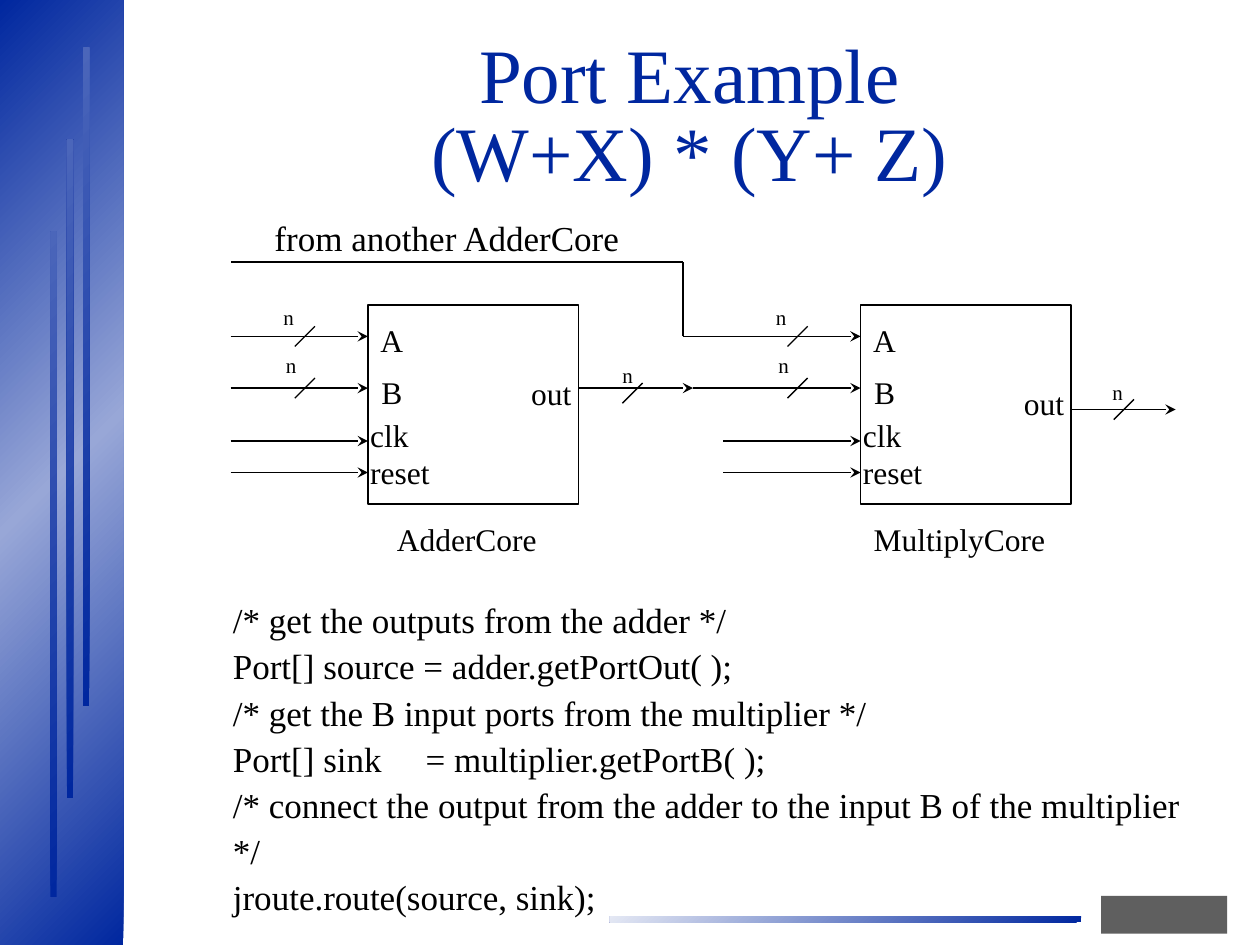
import copy
from itertools import pairwise

from lxml import etree
from pptx import Presentation
from pptx.dml.color import RGBColor
from pptx.enum import shapes, text
from pptx.oxml.ns import qn
from pptx.util import Inches, Pt

BLUE, BLACK, GREY = "00279F", "000000", "5F5F5F"
LEFT, CENTER = text.PP_ALIGN.LEFT, text.PP_ALIGN.CENTER
LINE_H = 0.4


def rgb(hex_color):
    return RGBColor.from_string(hex_color)


def add_rect(s, x, y, w, h):
    sp = s.shapes.add_shape(shapes.MSO_SHAPE.RECTANGLE,
                            Inches(x), Inches(y), Inches(w), Inches(h))
    sp.shadow.inherit = False
    sp.line.fill.background()
    return sp


def add_gradient(s, x, y, w, h, colors):
    """Rectangle with evenly spaced gradient stops, starting at its lower right."""
    sp = add_rect(s, x, y, w, h)
    sp.fill.gradient()
    sp.fill.gradient_angle = 135
    stops = sp._element.spPr.find(".//" + qn("a:gsLst"))
    while len(stops) < len(colors):
        stops.append(copy.deepcopy(stops[-1]))
    for i, (stop, color) in enumerate(zip(sp.fill.gradient_stops, colors)):
        stop.position = i / (len(colors) - 1)
        stop.color.rgb = rgb(color)


def add_text(s, x, y, w, h, lines, size=18, align=CENTER, wrap=False,
             color=BLACK, spacing=1.0):
    tf = s.shapes.add_textbox(Inches(x), Inches(y), Inches(w), Inches(h)).text_frame
    tf.word_wrap = wrap
    for i, line in enumerate(lines):
        p = tf.paragraphs[0] if i == 0 else tf.add_paragraph()
        p.alignment = align
        p.line_spacing = spacing
        r = p.add_run()
        r.text = line
        r.font.size = Pt(size)
        r.font.name = "Times New Roman"
        r.font.color.rgb = rgb(color)
    return tf


def add_line(s, x1, y1, x2, y2, width=0.75, arrow=False):
    c = s.shapes.add_connector(shapes.MSO_CONNECTOR.STRAIGHT,
                               Inches(x1), Inches(y1), Inches(x2), Inches(y2))
    c.line.width = Pt(width)
    c.line.color.rgb = rgb(BLACK)
    if arrow:
        etree.SubElement(c.line._get_or_add_ln(), qn("a:tailEnd"), type="stealth")
    etree.SubElement(c._element.spPr, qn("a:effectLst"))


def add_bus(s, x1, x2, y, slash_x, slash_dy, label_x, label_dy):
    """Arrow crossed by a slash, with its width n written above it."""
    add_line(s, x1, y, x2, y, arrow=True)
    half = 0.08
    mid = y + slash_dy
    add_line(s, slash_x + half, mid - half, slash_x - half, mid + half)
    add_text(s, label_x - 0.14, y + label_dy, 0.28, 0.3, ["n"], size=12)


def add_sidebar(s, x, y, w, h):
    add_gradient(s, x, y, w, h, [BLUE, "98A7D7", BLUE])
    for i, strip_h in enumerate((5.28, 5.22, 5.22)):
        add_gradient(s, x + 0.4 + 0.13 * i, y + 1.84 - 0.73 * i, 0.05, strip_h,
                     [BLUE, "4B66BA"])


def add_footer(s, x, y, w, h):
    add_gradient(s, x, y + 0.16, 3.74, 0.05, [BLUE, "E4E8F4"])
    mark = add_rect(s, x + w - 1, y, 1, h)
    mark.fill.solid()
    mark.fill.fore_color.rgb = rgb(GREY)


def add_core(s, x, y, w, h, name, b_start, out):
    """Core with its ports; out holds label y, wire y, wire end and bus mark places."""
    box = add_rect(s, x, y, w, h)
    box.fill.background()
    box.line.color.rgb = rgb(BLACK)
    box.line.width = Pt(0.75)

    wire_x = x - 1.09
    for port, start, dy, label_x, label_dy in (("A", wire_x, 0.25, 0.63, -0.3),
                                               ("B", b_start, 0.66, 0.61, -0.33)):
        add_text(s, x, y + dy - 0.17, 0.38, LINE_H, [port])
        add_bus(s, start, x, y + dy, x - 0.5, 0, x - label_x, label_dy)
    add_text(s, x - 0.08, y + 0.83, 0.67, 0.7, ["clk", "reset"], align=LEFT)
    for dy in (1.08, 1.33):
        add_line(s, wire_x, y + dy, x, y + dy, arrow=True)

    label_y, wire_y, end_x, *marks = out
    add_text(s, x + 1.16, label_y, 0.59, LINE_H, ["out"], wrap=True)
    add_bus(s, x + w, end_x, wire_y, *marks)
    add_text(s, x, y + h + 0.08, w - 0.1, LINE_H, [name])


def add_diagram(s, x, y):
    core_y, core_w, core_h = y + 0.75, 1.67, 1.58
    add_core(s, x + 1.09, core_y, core_w, core_h, "AdderCore", x,
             (2.92, 3.08, 5.5, 5.02, 0.04, 4.98, -0.25))
    add_core(s, x + 5, core_y, core_w, core_h, "MultiplyCore", 5.5,
             (3, 3.25, 9.33, 8.92, 0, 8.87, -0.29))
    feed_y, turn_x = y + 0.41, x + 3.59
    corners = [(x + 3.92, core_y + 0.25), (turn_x, core_y + 0.25),
               (turn_x, feed_y), (x, feed_y)]
    for start, end in pairwise(corners):
        add_line(s, *start, *end, width=1)
    add_text(s, x + 0.25, y, 2.95, 0.44, ["from another AdderCore"], size=20, align=LEFT)


def add_code(s, x, y, w, h):
    lines = ["/* get the outputs from the adder */",
             "Port[] source = adder.getPortOut( );",
             "/* get the B input ports from the multiplier */",
             "Port[] sink\t= multiplier.getPortB( );",
             "/* connect the output from the adder to the input B of the multiplier */",
             "jroute.route(source, sink);"]
    tf = add_text(s, x, y, w, h, lines, size=20, align=LEFT, wrap=True, spacing=1.1)
    tabs = etree.SubElement(tf.paragraphs[3]._p.get_or_add_pPr(), qn("a:tabLst"))
    etree.SubElement(tabs, qn("a:tab"), pos=str(Inches(1.53)), algn="l")


def main():
    prs = Presentation()
    prs.slide_width, prs.slide_height = Inches(10), Inches(7.5)
    s = prs.slides.add_slide(prs.slide_layouts[6])
    add_sidebar(s, 0, 0, 0.98, 7.5)
    add_footer(s, 4.84, 7.11, 4.9, 0.3)
    title = add_text(s, 1.07, 0.32, 8.81, 1.25, ["Port Example", "(W+X) * (Y+ Z)"],
                     size=44, wrap=True, color=BLUE, spacing=0.85)
    title.vertical_anchor = text.MSO_ANCHOR.MIDDLE
    add_diagram(s, 1.83, 1.67)
    add_code(s, 1.75, 4.67, 8, 2.67)
    prs.save("out.pptx")


if __name__ == "__main__":
    main()
